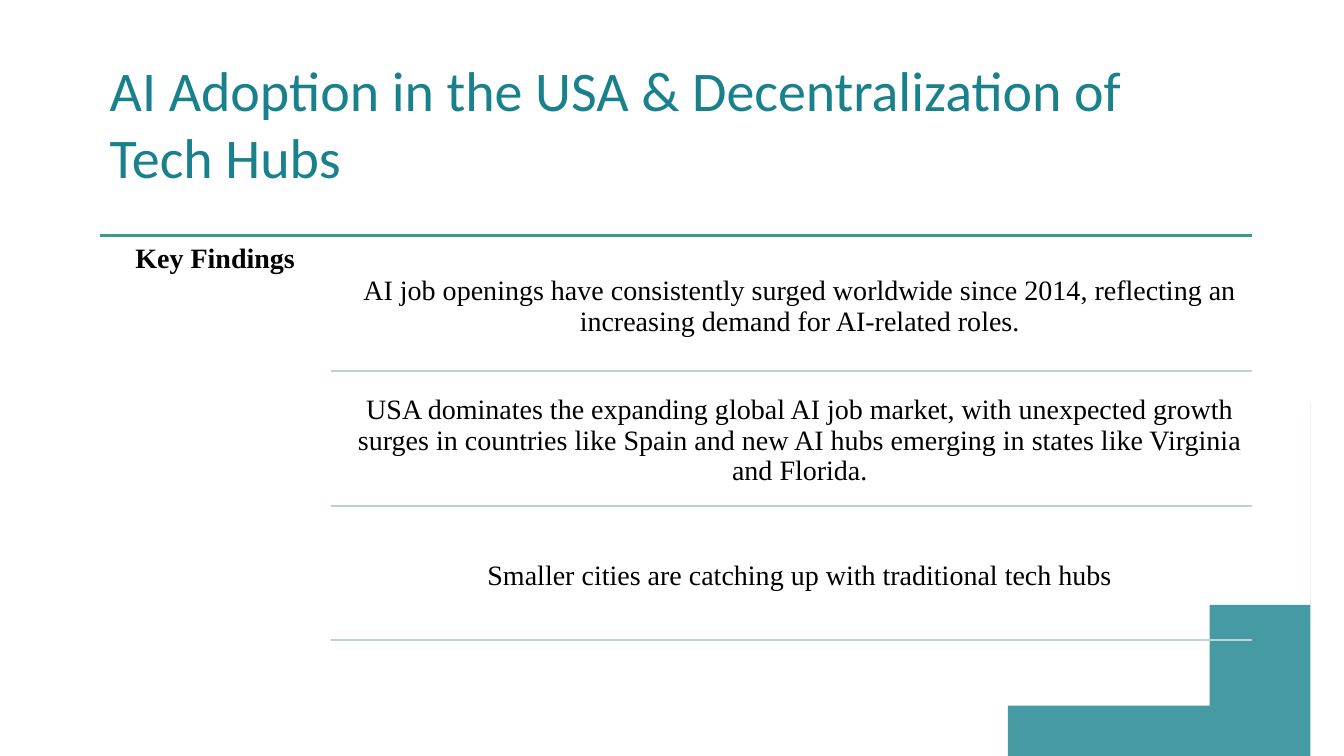
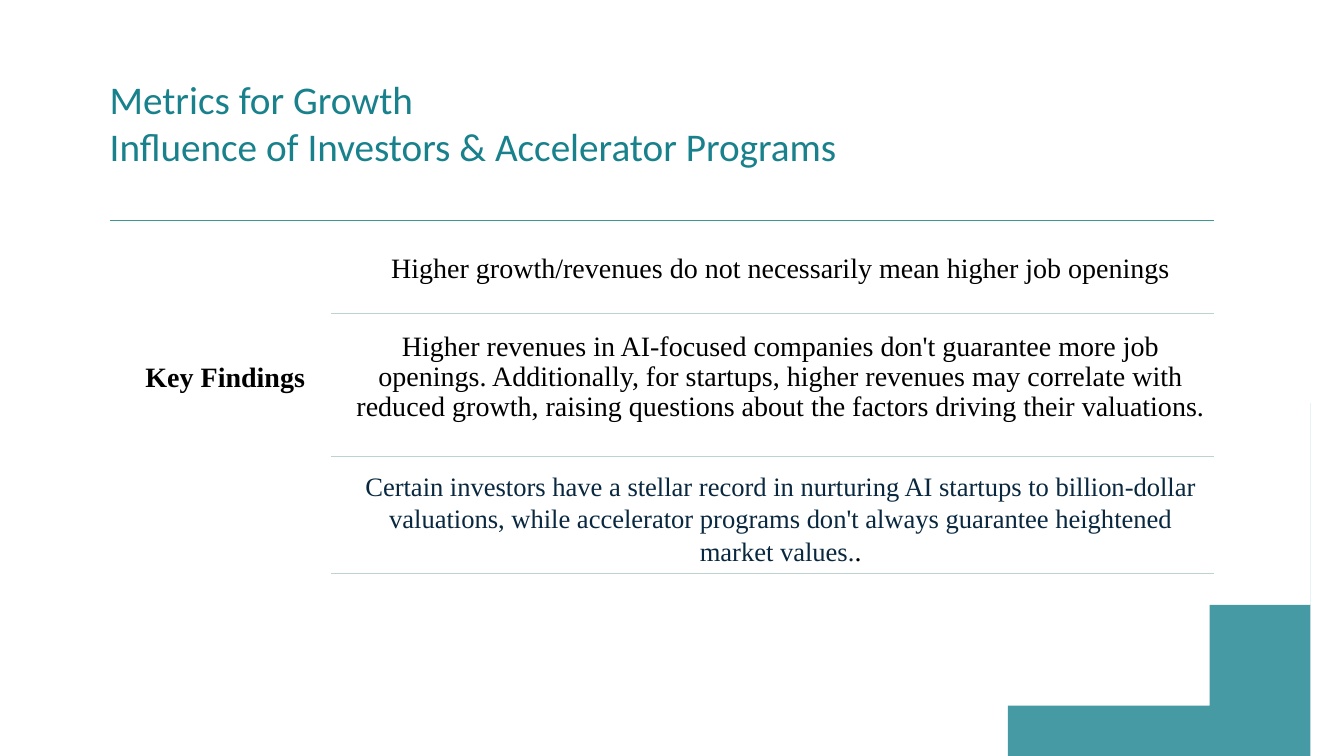
from lxml import etree
from pptx import Presentation
from pptx.dml.color import RGBColor
from pptx.enum.shapes import MSO_CONNECTOR
from pptx.enum.text import MSO_ANCHOR, PP_ALIGN
from pptx.oxml.ns import qn
from pptx.util import Inches, Pt

COLORS = {"teal": "18818C", "rule": "399A8D", "divider": "BED3CF",
          "black": "000000", "navy": "09283F"}
TITLE_FONT, BODY_FONT = "Calibri", "Times New Roman"
LABEL_WIDTH, DIVIDER_LEFT, FINDING_LEFT = 2.29, 3.28, 3.45

# Each finding is (top, line spacing, runs); each run is (text, size, color)
SLIDES = [
    {"title": ["AI Adoption in the USA & Decentralization of Tech Hubs"],
     "title_size": 40, "left": 0.99, "right": 12.42, "rule_top": 2.34,
     "line_width": 2, "label_top": 2.34, "finding_height": 1.27,
     "dividers": [3.68, 5.02, 6.35],
     "findings": [
         (2.41, 0.9, [("AI job openings have consistently surged worldwide since 2014, "
                       "reflecting an increasing demand for AI-related roles.", 20, "black")]),
         (3.74, 0.9, [("USA dominates the expanding global AI job market, with unexpected "
                       "growth surges in countries like Spain and new AI hubs emerging in "
                       "states like Virginia and Florida.", 20, "black")]),
         (5.08, 0.9, [("Smaller cities are catching up with traditional tech hubs",
                       20, "black")])]},
    {"title": ["Metrics for Growth", "Influence of Investors & Accelerator Programs"],
     "title_size": 28, "left": 1.09, "right": 12.04, "rule_top": 2.19,
     "line_width": 1, "label_top": 3.52, "finding_height": 1.03,
     "dividers": [3.11, 4.53, 5.69],
     "findings": [
         (2.16, 0.9, [("Higher growth/revenues do not necessarily mean higher job openings",
                       20, "black")]),
         (3.23, 0.9, [("Higher revenues in AI-focused companies don't guarantee more job "
                       "openings. Additionally, for startups, higher revenues may correlate "
                       "with reduced growth, raising questions about the factors driving "
                       "their valuations.", 20, "black")]),
         (4.63, 1.0, [("Certain investors have a stellar record in nurturing AI startups to "
                       "billion-dollar valuations, while accelerator programs don't always "
                       "guarantee heightened market values.", 19, "navy"),
                      (".", 20, "black")])]},
]


def add_text(slide, box, paragraphs, font, insets, anchor=MSO_ANCHOR.MIDDLE,
             align=PP_ALIGN.CENTER, spacing=1.0, bold=False):
    """Add a wrapped text box; each paragraph is a list of (text, size, color) runs."""
    frame = slide.shapes.add_textbox(*[Inches(value) for value in box]).text_frame
    frame.word_wrap = True
    frame.vertical_anchor = anchor
    frame.margin_left = frame.margin_right = Inches(insets[0])
    frame.margin_top = frame.margin_bottom = Inches(insets[1])
    for index, runs in enumerate(paragraphs):
        paragraph = frame.add_paragraph() if index else frame.paragraphs[0]
        paragraph.alignment = align
        paragraph.line_spacing = spacing
        for text, size, color in runs:
            run = paragraph.add_run()
            run.text = text
            run.font.name = font
            run.font.size = Pt(size)
            run.font.bold = bold
            run.font.color.rgb = RGBColor.from_string(COLORS[color])


def add_line(slide, left, right, top, color, width):
    """Add a horizontal line without a shadow."""
    line = slide.shapes.add_connector(MSO_CONNECTOR.STRAIGHT, Inches(left), Inches(top),
                                      Inches(right), Inches(top))
    line.line.color.rgb = RGBColor.from_string(COLORS[color])
    line.line.width = Pt(width)
    etree.SubElement(line._element.spPr, qn("a:effectLst"))


presentation = Presentation()
presentation.slide_width = Inches(13.333)
presentation.slide_height = Inches(7.5)

# Outline of the corner: the bottom right edges, closed by a Bezier curve
curve = [(9.67, 7.5), (11.57, 7.5), (13.14, 6.02), (13.33, 4.13)]
STEPS = 60
corner_points = [(13.33, 7.5)]
for step in range(STEPS + 1):
    t = step / STEPS
    weights = [(1 - t) ** 3, 3 * t * (1 - t) ** 2, 3 * t ** 2 * (1 - t), t ** 3]
    corner_points.append(tuple(sum(weight * point[axis] for weight, point in zip(weights, curve))
                               for axis in (0, 1)))

for content in SLIDES:
    slide = presentation.slides.add_slide(presentation.slide_layouts[6])

    # Corner decoration
    builder = slide.shapes.build_freeform(13.33, 4.08, scale=Inches(1))
    builder.add_line_segments(corner_points, close=True)
    corner = builder.convert_to_shape()
    corner.shadow.inherit = False
    corner.line.fill.background()
    corner.fill.solid()
    corner.fill.fore_color.rgb = RGBColor.from_string(COLORS["teal"])
    fill_color = corner._element.spPr.find(qn("a:solidFill"))[0]
    etree.SubElement(fill_color, qn("a:alpha"), val="80000")

    # Title
    title_runs = [[(text, content["title_size"], "teal")] for text in content["title"]]
    add_text(slide, (0.99, 0.49, 10.84, 1.45), title_runs, TITLE_FONT, (0.1, 0.05),
             align=PP_ALIGN.LEFT)

    # Top rule and row label
    left, right, width = content["left"], content["right"], content["line_width"]
    add_line(slide, left, right, content["rule_top"], "rule", width)
    add_text(slide, (left, content["label_top"], LABEL_WIDTH, 0.5),
             [[("Key Findings", 20, "black")]], BODY_FONT, (0.08, 0.08),
             anchor=MSO_ANCHOR.TOP, spacing=0.9, bold=True)

    # Findings, each closed by a divider
    for (top, spacing, runs), divider_top in zip(content["findings"], content["dividers"]):
        add_text(slide, (FINDING_LEFT, top, right - FINDING_LEFT, content["finding_height"]),
                 [runs], BODY_FONT, (0.08, 0.08), spacing=spacing)
        add_line(slide, DIVIDER_LEFT, right, divider_top, "divider", width)

presentation.save("out.pptx")
